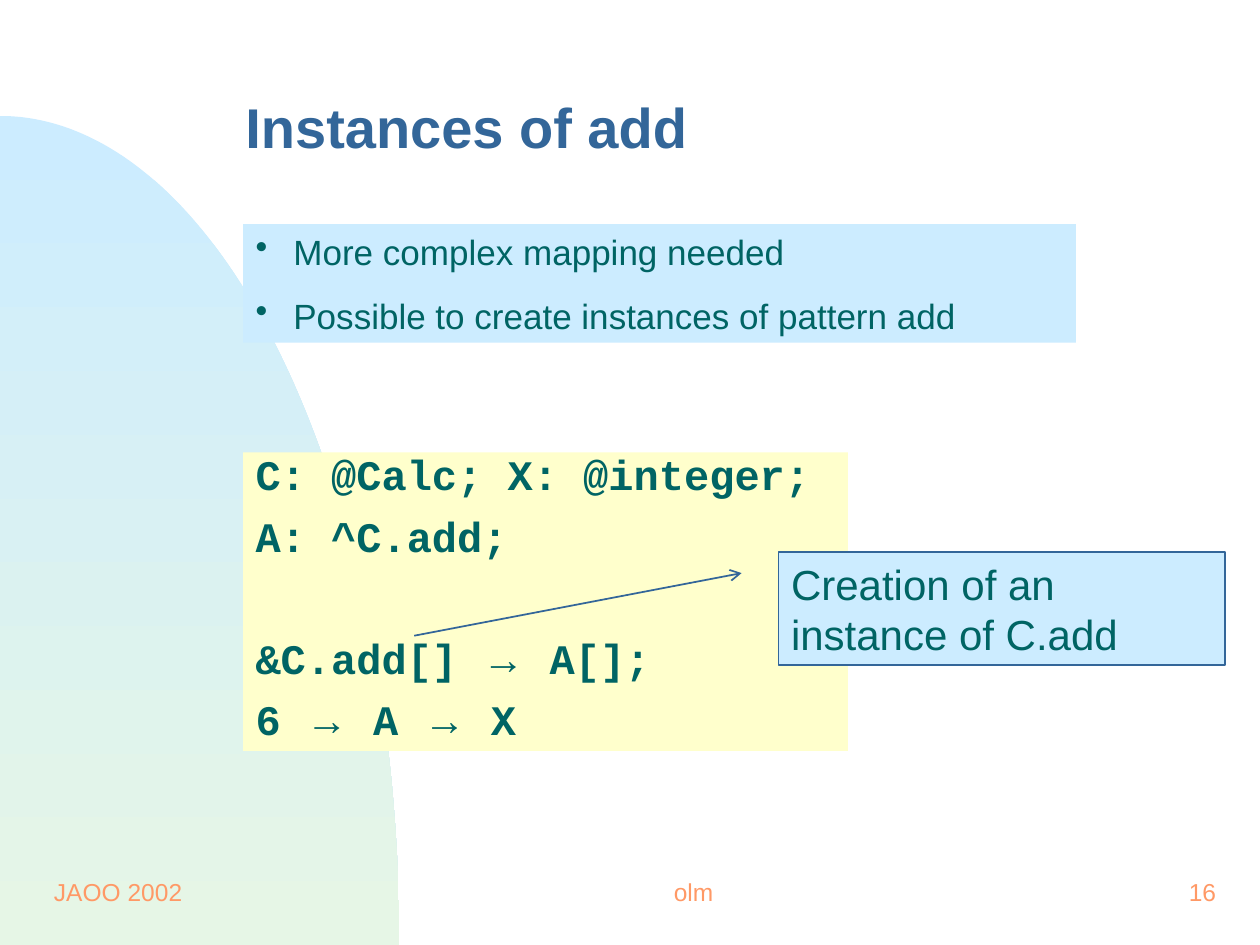
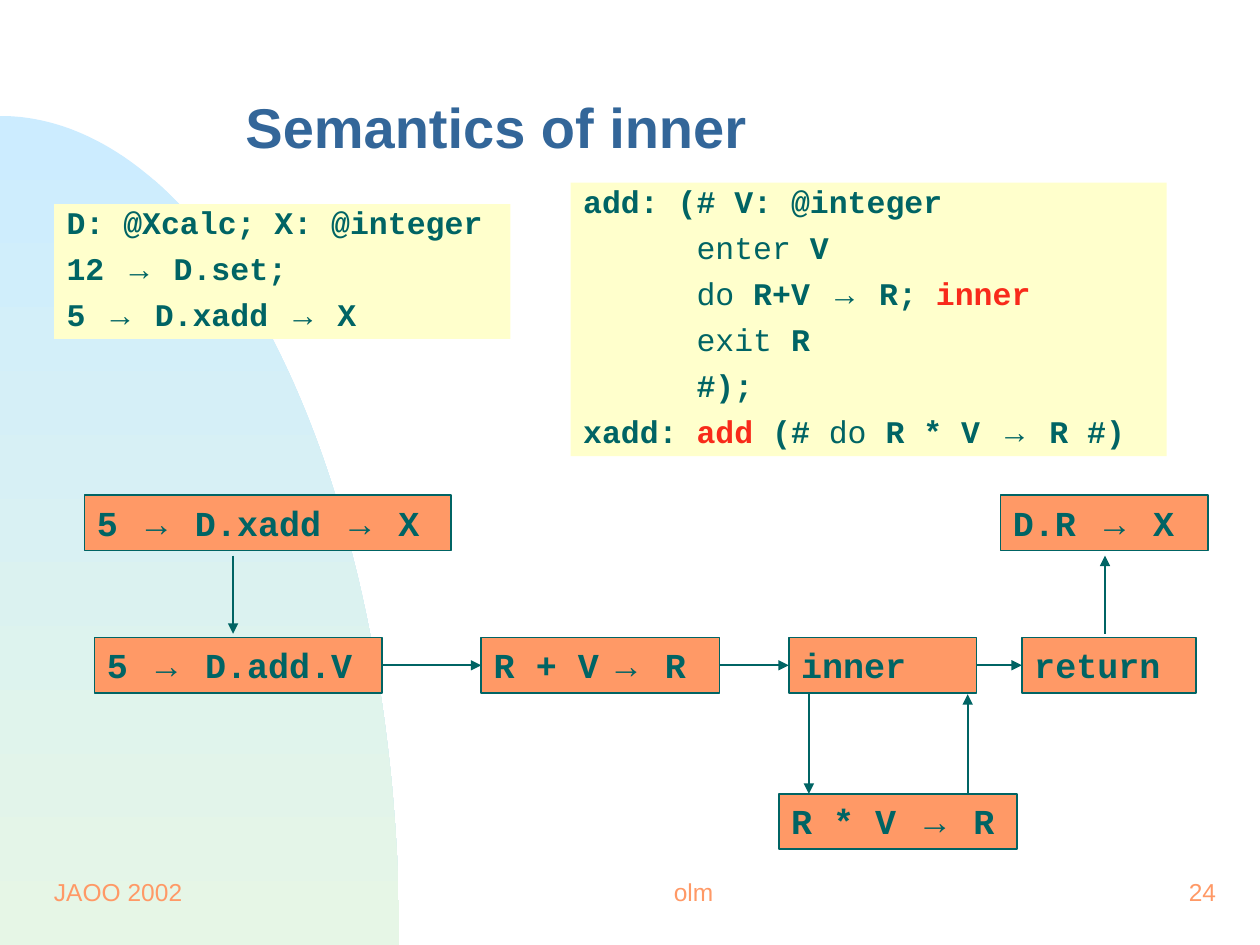
from itertools import groupby
from math import cos, pi, sin

from lxml import etree
from pptx import Presentation
from pptx.dml.color import RGBColor
from pptx.enum import shapes, text
from pptx.oxml.ns import qn
from pptx.util import Inches, Pt

COLORS = {
    "title": "336699",
    "ink": "006464",
    "footer": "FF9966",
    "step": "FF9966",
    "note": "CCECFF",
    "code": "FFFFCC",
    "highlight": "F82A1A",
    "arc_top": "CCECFF",
    "arc_bottom": "E6F6E6",
}

STYLES = {
    "title": ("Arial", "title", True),
    "footer": ("Arial", "footer", False),
    "prose": ("Arial", "ink", False),
    "symbol": ("Arial", "ink", True),
    "code": ("Courier New", "ink", True),
    "keyword": ("Courier New", "ink", False),
    "highlight": ("Courier New", "highlight", True),
}


def rgb(name):
    """Return the palette colour of that name."""
    return RGBColor.from_string(COLORS[name])


def split_symbols(runs):
    """Yield the runs with the arrows inside code set apart as symbols."""
    for words, style in runs:
        if style != "code":
            yield words, style
            continue
        for is_arrow, letters in groupby(words, lambda letter: letter == "→"):
            yield "".join(letters), "symbol" if is_arrow else "code"


def write(shape, lines, size, gap=0, spacing=None, hang=0, bullet=None,
          align=text.PP_ALIGN.LEFT, anchor=text.MSO_ANCHOR.TOP):
    """Write lines of (words, style) runs into a shape."""
    frame = shape.text_frame
    frame.word_wrap = True
    frame.vertical_anchor = anchor
    for index, runs in enumerate(lines):
        paragraph = frame.paragraphs[0] if index == 0 else frame.add_paragraph()
        paragraph.alignment = align
        paragraph.line_spacing = spacing
        paragraph.space_before = Pt(gap if index else 0)
        if hang:
            properties = paragraph._p.get_or_add_pPr()
            properties.set("marL", str(Inches(hang)))
            properties.set("indent", str(-Inches(hang)))
            if bullet:
                colour = etree.SubElement(properties, qn("a:buClr"))
                etree.SubElement(colour, qn("a:srgbClr"), val=COLORS["ink"])
                etree.SubElement(properties, qn("a:buChar"), char=bullet)
        for words, style in split_symbols(runs):
            run = paragraph.add_run()
            run.text = words
            face, colour, bold = STYLES[style]
            run.font.name = face
            run.font.size = Pt(size)
            run.font.bold = bold
            run.font.color.rgb = rgb(colour)
    return frame


def add_label(slide, box, words, style, size, **layout):
    """Add one line of text, centred vertically in its box."""
    label = slide.shapes.add_textbox(*map(Inches, box))
    write(label, [[(words, style)]], size, anchor=text.MSO_ANCHOR.MIDDLE, **layout)


def add_panel(slide, box, fill, line=None, kind=shapes.MSO_SHAPE.RECTANGLE):
    """Add a filled shape, outlined when a line colour is given."""
    panel = slide.shapes.add_shape(kind, *map(Inches, box))
    panel.shadow.inherit = False
    panel.fill.solid()
    panel.fill.fore_color.rgb = rgb(fill)
    if line:
        panel.line.color.rgb = rgb(line)
        panel.line.width = Pt(1)
    else:
        panel.line.fill.background()
    return panel


def add_code(slide, box, lines, size):
    """Add a yellow code listing whose line gaps follow the type size."""
    panel = add_panel(slide, box, "code")
    return write(panel, lines, size, gap=size / 2, spacing=0.8, hang=0.38)


def add_arc(slide, box):
    """Add the shaded quarter ellipse that fills its box."""
    left, top, width, height = box
    steps = 90
    rim = [(Inches(left + width * sin(pi / 2 * i / steps)),
            Inches(top + height * (1 - cos(pi / 2 * i / steps))))
           for i in range(steps + 1)]
    outline = slide.shapes.build_freeform(*rim[0])
    outline.add_line_segments(rim[1:] + [(Inches(left), Inches(top + height))])
    arc = outline.convert_to_shape()
    arc.shadow.inherit = False
    arc.line.fill.background()
    arc.fill.gradient()
    arc.fill.gradient_angle = 270
    for stop, name in zip(arc.fill.gradient_stops, ("arc_top", "arc_bottom")):
        stop.color.rgb = rgb(name)


def add_base(deck, title, number):
    """Add a slide with the shared arc, title and footer."""
    slide = deck.slides.add_slide(deck.slide_layouts[6])
    add_arc(slide, (0, 0.92, 3.17, 6.58))
    add_label(slide, (1.85, 0.83, 6.67, 0.47), title, "title", 32, spacing=0.7)
    for left, width, words, align in (
            (0.33, 2.08, "JAOO 2002", text.PP_ALIGN.LEFT),
            (3.92, 3.17, "olm", text.PP_ALIGN.CENTER),
            (7.67, 2.08, str(number), text.PP_ALIGN.RIGHT)):
        add_label(slide, (left, 6.83, width, 0.5), words, "footer", 14, align=align)
    return slide


def add_arrow(slide, start, end):
    """Add a straight arrow between two points."""
    arrow = slide.shapes.add_connector(
        shapes.MSO_CONNECTOR.STRAIGHT, *map(Inches, (*start, *end)))
    arrow.line.color.rgb = rgb("ink")
    arrow.line.width = Pt(1)
    etree.SubElement(arrow.line._get_or_add_ln(), qn("a:tailEnd"), type="triangle")
    etree.SubElement(arrow._element.spPr, qn("a:effectLst"))
    return arrow


def add_callout(slide, box, words):
    """Add a note with a leader line that points away from the code."""
    callout = add_panel(slide, box, "note", "title", shapes.MSO_SHAPE.LINE_CALLOUT_1)
    for index, value in enumerate((0.188, -0.083, 0.74, -0.817)):
        callout.adjustments[index] = value
    etree.SubElement(callout.line._get_or_add_ln(), qn("a:headEnd"), type="arrow")
    write(callout, [[(words, "prose")]], 24)


def add_call_flow(slide, left, top):
    """Add the steps of the call and the arrows that link them."""
    rows = (0, 1.13, 2.37)
    steps = {
        "call": (0, 0, 2.91, [("5 → D.xadd → X", "code")]),
        "enter": (0.08, 1, 2.28, [("5 → D.add.V", "code")]),
        "sum": (3.15, 1, 1.89, [("R + V", "code"), (" →", "symbol"), (" R", "code")]),
        "inner": (5.59, 1, 1.49, [("inner", "code")]),
        "product": (5.51, 2, 1.89, [("R * V → R", "code")]),
        "return": (7.44, 1, 1.38, [("return", "code")]),
        "result": (7.27, 0, 1.65, [("D.R → X", "code")]),
    }
    boxes = {}
    for name, (x, row, width, runs) in steps.items():
        boxes[name] = add_panel(
            slide, (left + x, top + rows[row], width, 0.44), "step", "ink")
        write(boxes[name], [runs], 20)
    chain = ("enter", "sum", "inner", "return")
    for source, target in zip(chain, chain[1:]):
        link = add_arrow(slide, (left, top), (left, top))
        link.begin_connect(boxes[source], 3)
        link.end_connect(boxes[target], 1)
    for x, start, end in ((1.18, 0.48, 1.1), (5.75, 1.58, 2.37),
                          (7.01, 2.37, 1.58), (8.1, 1.1, 0.48)):
        add_arrow(slide, (left + x, top + start), (left + x, top + end))


def build_instances(deck):
    """Build the slide on instances of add."""
    slide = add_base(deck, "Instances of add", 16)
    listing = add_code(slide, (1.93, 3.59, 4.8, 2.37), [
        [("C: @Calc; X: @integer;", "code")],
        [("A: ^C.add;", "code")],
        [("&C.add[] → A[];", "code")],
        [("6 → A → X", "code")],
    ], 24)
    listing.paragraphs[2].space_before = Pt(47)
    points = add_panel(slide, (1.93, 1.78, 6.61, 0.94), "note")
    write(points, [
        [("More complex mapping needed", "prose")],
        [("Possible to create instances of pattern add", "prose")],
    ], 20, gap=12.5, hang=0.3, bullet="•")
    add_callout(slide, (6.18, 4.38, 3.54, 0.9), "Creation of an instance of C.add")


def build_semantics(deck):
    """Build the slide on the semantics of inner."""
    slide = add_base(deck, "Semantics of inner", 24)
    add_code(slide, (0.43, 1.62, 3.62, 1.07), [
        [("D: @Xcalc; X: @integer", "code")],
        [("12 → D.set;", "code")],
        [("5 → D.xadd → X", "code")],
    ], 18)
    margin = ("      ", "code")
    add_code(slide, (4.53, 1.45, 4.73, 2.17), [
        [("add: (# V: @integer", "code")],
        [margin, ("enter", "keyword"), (" V", "code")],
        [margin, ("do", "keyword"), (" R+V → R; ", "code"), ("inner", "highlight")],
        [margin, ("exit", "keyword"), (" R", "code")],
        [margin, ("#);", "code")],
        [("xadd: ", "code"), ("add", "highlight"), (" (# ", "code"),
         ("do", "keyword"), (" R * V → R #)", "code")],
    ], 18)
    add_call_flow(slide, 0.67, 3.93)


def main():
    """Build both slides and save the deck."""
    deck = Presentation()
    deck.slide_width, deck.slide_height = Inches(10), Inches(7.5)
    build_instances(deck)
    build_semantics(deck)
    deck.save("out.pptx")


if __name__ == "__main__":
    main()
